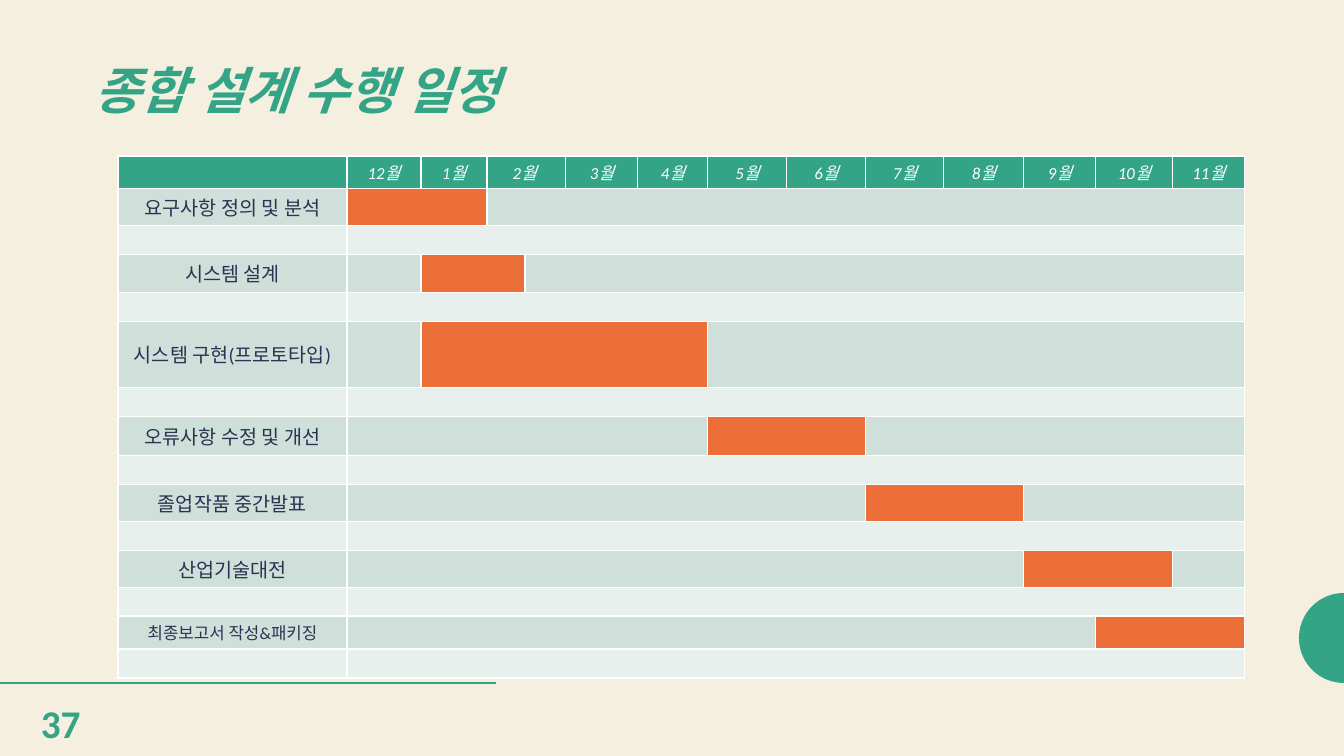
import math
from dataclasses import dataclass

from lxml import etree
from pptx import Presentation, util as u
from pptx.dml.color import RGBColor
from pptx.enum import shapes, text
from pptx.oxml.ns import qn

PX = 914400 / 100.8
SLIDE_W, SLIDE_H = 1344, 756


@dataclass(frozen=True)
class Theme:
    font: str = "Calibri"
    paper: str = "F4EFDF"
    green: str = "33A485"
    orange: str = "EC6E39"
    band: str = "CEE0D9"
    gap: str = "E8F0ED"
    ink: str = "2A3351"
    white: str = "FFFFFF"
    title_size: int = 36
    page_size: int = 28
    task_size: int = 14
    small_size: int = 12
    empty_size: int = 6


THEME = Theme()

LABEL_W = 229
MONTH_COLUMNS = [74, 66, 38, 41, 72, 70, 79, 79, 78, 80, 72, 77, 72]
# February is split in two columns, so March starts at column 5.
MONTHS = {1: "12월", 2: "1월", 3: "2월 "} | {c: f"{c - 2}월" for c in range(5, 14)}
HEADER_H, GAP_H = 32, 29

# label, row height, first and last column of the bar, type size
TASKS = [
    ("요구사항 정의 및 분석", 37, 1, 2, THEME.task_size),
    ("시스템 설계", 38, 2, 3, THEME.task_size),
    ("시스템 구현(프로토타입)", 66, 2, 6, THEME.task_size),
    ("오류사항 수정 및 개선", 39, 7, 8, THEME.task_size),
    ("졸업작품 중간발표", 37, 9, 10, THEME.task_size),
    ("산업기술대전", 37, 11, 12, THEME.task_size),
    ("최종보고서 작성&패키징", 33, 12, 13, THEME.small_size),
]


def px(length):
    return u.Emu(round(length * PX))


def rgb(color):
    return RGBColor.from_string(color)


def style(paragraph, size, color, bold=False, italic=False):
    font = paragraph.font
    font.name, font.size = THEME.font, u.Pt(size)
    font.bold, font.italic = bold, italic
    font.color.rgb = rgb(color)


def paint(cell, color):
    cell.fill.solid()
    cell.fill.fore_color.rgb = rgb(color)


def write_cell(cell, words, size, color, italic=False):
    cell.margin_left = cell.margin_right = px(8)
    cell.margin_top = cell.margin_bottom = px(4)
    cell.vertical_anchor = text.MSO_ANCHOR.MIDDLE
    paragraph = cell.text_frame.paragraphs[0]
    paragraph.text = words
    paragraph.alignment = text.PP_ALIGN.CENTER
    style(paragraph, size, color, italic=italic)


def empty_span(table, row, first, last, color):
    """Merge a run of columns into one textless cell that cannot stretch its row."""
    if first > last:
        return
    for column in range(first, last + 1):
        cell = table.cell(row, column)
        paint(cell, color)
        cell.margin_top = cell.margin_bottom = 0
        end = etree.SubElement(cell.text_frame.paragraphs[0]._p, qn("a:endParaRPr"))
        end.set("sz", str(THEME.empty_size * 100))
    if last > first:
        table.cell(row, first).merge(table.cell(row, last))


def add_header(table):
    empty_span(table, 0, 0, 0, THEME.green)
    empty_span(table, 0, 3, 4, THEME.green)
    for column, month in MONTHS.items():
        paint(table.cell(0, column), THEME.green)
        write_cell(table.cell(0, column), month, THEME.small_size, THEME.white, italic=True)


def add_schedule(slide, left, top):
    widths = [LABEL_W] + MONTH_COLUMNS
    heights = [HEADER_H]
    for _, height, *_ in TASKS:
        heights += [height, GAP_H]
    table = slide.shapes.add_table(
        len(heights), len(widths), px(left), px(top), px(sum(widths)), px(sum(heights))
    ).table
    table.horz_banding = False
    for column, width in zip(table.columns, widths):
        column.width = px(width)
    for row, height in zip(table.rows, heights):
        row.height = px(height)

    add_header(table)
    end = len(MONTH_COLUMNS)
    for index, (label, _, first, last, size) in enumerate(TASKS):
        row = 1 + 2 * index
        paint(table.cell(row, 0), THEME.band)
        write_cell(table.cell(row, 0), label, size, THEME.ink)
        empty_span(table, row, 1, first - 1, THEME.band)
        empty_span(table, row, first, last, THEME.orange)
        empty_span(table, row, last + 1, end, THEME.band)
        empty_span(table, row + 1, 0, 0, THEME.gap)
        empty_span(table, row + 1, 1, end, THEME.gap)


def add_half_disc(slide, center_x, center_y, radius, steps=36):
    angles = [math.pi * (0.5 + step / steps) for step in range(steps + 1)]
    points = [
        (px(center_x + radius * math.cos(a)), px(center_y + radius * math.sin(a)))
        for a in angles
    ]
    builder = slide.shapes.build_freeform(*points[0])
    builder.add_line_segments(points[1:], close=True)
    disc = builder.convert_to_shape()
    disc.shadow.inherit = False
    disc.fill.solid()
    disc.fill.fore_color.rgb = rgb(THEME.green)
    disc.line.fill.background()


def add_rule(slide, y, end_x):
    rule = slide.shapes.add_connector(
        shapes.MSO_CONNECTOR.STRAIGHT, 0, px(y), px(end_x), px(y)
    )
    rule.line.color.rgb = rgb(THEME.green)
    rule.line.width = u.Pt(2)
    etree.SubElement(rule._element.spPr, qn("a:effectLst"))


def set_title(slide, words):
    title = slide.shapes.title
    title.left, title.top, title.width, title.height = px(84), px(61), px(489), px(80)
    frame = title.text_frame
    frame.word_wrap = True
    frame.auto_size = text.MSO_AUTO_SIZE.NONE
    frame.vertical_anchor = text.MSO_ANCHOR.TOP
    paragraph = frame.paragraphs[0]
    paragraph.text = words
    paragraph.alignment = text.PP_ALIGN.LEFT
    paragraph.line_spacing = 0.9
    style(paragraph, THEME.title_size, THEME.green, bold=True, italic=True)


def add_page_number(slide, number):
    frame = slide.shapes.add_textbox(px(31), px(694), px(87), px(57)).text_frame
    frame.word_wrap = True
    paragraph = frame.paragraphs[0]
    paragraph.text = number
    style(paragraph, THEME.page_size, THEME.green, bold=True)


def main():
    deck = Presentation()
    deck.slide_width, deck.slide_height = px(SLIDE_W), px(SLIDE_H)
    slide = deck.slides.add_slide(deck.slide_layouts[5])
    slide.background.fill.solid()
    slide.background.fill.fore_color.rgb = rgb(THEME.paper)
    add_half_disc(slide, SLIDE_W, 638, 45)
    add_rule(slide, 683, 496)
    set_title(slide, "종합 설계 수행 일정")
    add_schedule(slide, 118, 156)
    add_page_number(slide, "37")
    deck.save("out.pptx")


if __name__ == "__main__":
    main()
